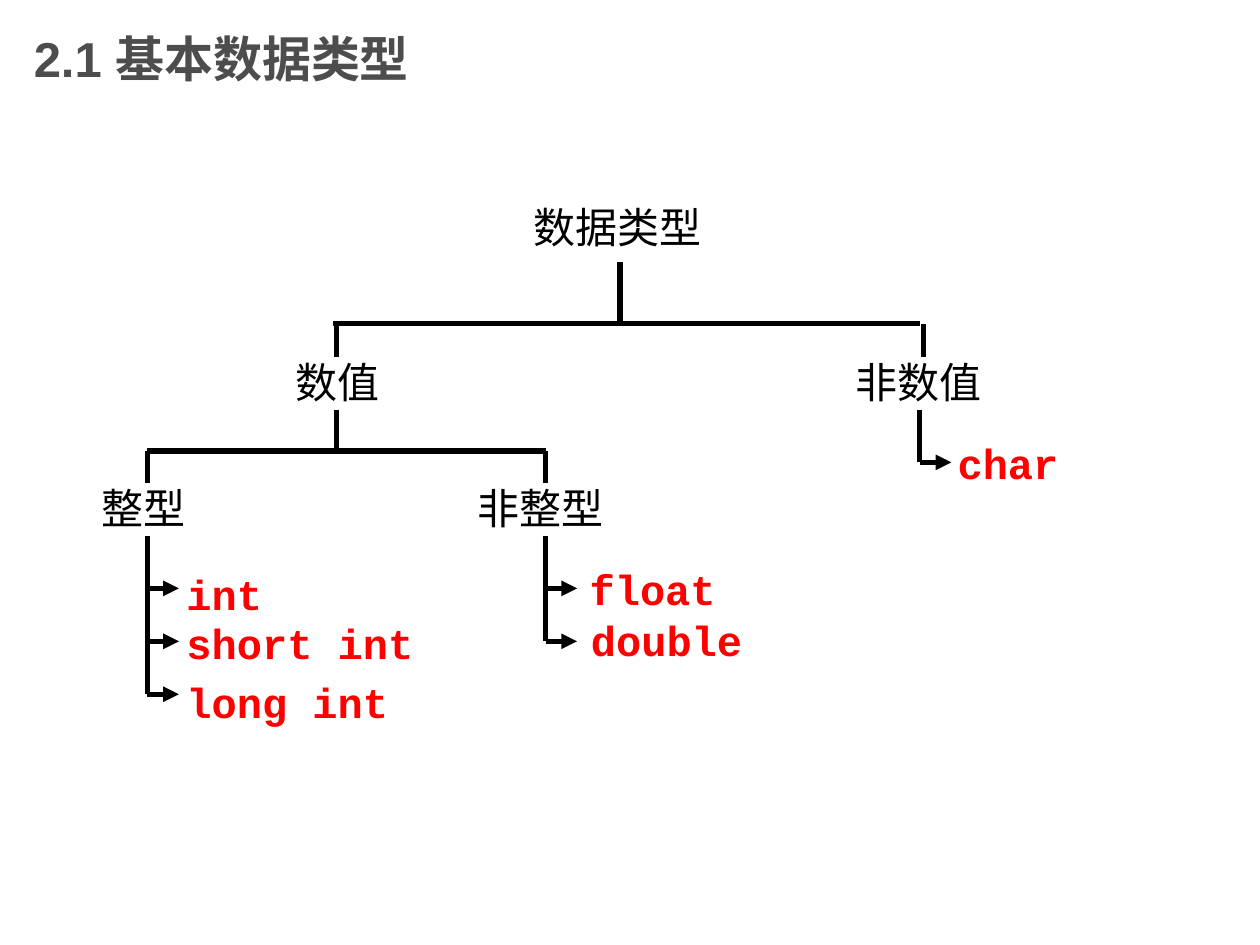
from dataclasses import dataclass
from lxml.etree import SubElement
from pptx import Presentation
from pptx.dml.color import RGBColor
from pptx.enum.shapes import MSO_CONNECTOR
from pptx.enum.text import MSO_ANCHOR, PP_ALIGN
from pptx.oxml.ns import qn
from pptx.util import Inches, Pt


@dataclass(frozen=True)
class Theme:
    ink: RGBColor = RGBColor(0, 0, 0)
    code: RGBColor = RGBColor(255, 0, 0)
    head: RGBColor = RGBColor(0x4D, 0x4D, 0x4D)
    sans: str = "Noto Sans CJK SC"
    mono: str = "Courier New"
    title: str = "Arial"
    big: int = 28
    body: int = 24
    rule: int = 3


@dataclass(frozen=True)
class Box:
    x: float
    y: float
    w: float
    h: float


THEME = Theme()
ROW = 0.5       # height of a label
GLYPH = 0.33    # width of one Chinese character in a node
PAD = 0.24      # side margins of a node, with a little slack
STEP = 0.42     # gap between leaf arrows
ARM = 0.25      # length of a leaf arrow


def add_text(slide, box, text, face, size, color, bold=False,
             align=PP_ALIGN.CENTER, wrap=False):
    shape = slide.shapes.add_textbox(*map(Inches, (box.x, box.y, box.w, box.h)))
    frame = shape.text_frame
    frame.word_wrap = wrap
    frame.vertical_anchor = MSO_ANCHOR.MIDDLE if wrap else MSO_ANCHOR.TOP
    para = frame.paragraphs[0]
    para.alignment = align
    run = para.add_run()
    run.text = text
    font = run.font
    font.name, font.size, font.bold = face, Pt(size), bold
    font.color.rgb = color
    SubElement(font._element, qn("a:ea")).set("typeface", THEME.sans)


def add_line(slide, x1, y1, x2, y2, arrow=False):
    line = slide.shapes.add_connector(
        MSO_CONNECTOR.STRAIGHT, *map(Inches, (x1, y1, x2, y2)))
    line.line.color.rgb = THEME.ink
    line.line.width = Pt(THEME.rule)
    if arrow:
        SubElement(line.line._get_or_add_ln(), qn("a:tailEnd")).set("type", "triangle")
    SubElement(line._element.spPr, qn("a:effectLst"))


def add_title(slide, box, text):
    add_text(slide, box, text, THEME.title, THEME.big, THEME.head,
             bold=True, align=PP_ALIGN.LEFT, wrap=True)


def add_node(slide, mid, y, text):
    """Label centred on x = mid, wide enough for its characters."""
    width = len(text) * GLYPH + PAD
    add_text(slide, Box(mid - width / 2, y, width, ROW), text,
             THEME.sans, THEME.body, THEME.ink)


def add_fork(slide, box, stem, bar, drops):
    """Stem at x = stem down to a bar, then a drop to each child."""
    mid = box.y + bar
    add_line(slide, stem, box.y, stem, mid)
    add_line(slide, box.x, mid, box.x + box.w, mid)
    for x in drops:
        add_line(slide, x, mid, x, box.y + box.h)


def add_leaves(slide, box, leaves):
    """Trunk down the box's left edge; a leaf is name, width, label x and y."""
    add_line(slide, box.x, box.y, box.x, box.y + box.h)
    for i, (name, width, dx, dy) in enumerate(leaves, 1):
        y = box.y + i * STEP
        add_line(slide, box.x, y, box.x + ARM, y, arrow=True)
        place = Box(box.x + dx, box.y + dy, width, ROW)
        add_text(slide, place, name, THEME.mono, THEME.body, THEME.code, bold=True)


def add_tree(slide, box):
    x, y = box.x, box.y
    nodes = [
        ("数据类型", 4.19, 0),
        ("数值", 1.97, 1.23),
        ("非数值", 6.58, 1.23),
        ("整型", 0.43, 2.23),
        ("非整型", 3.58, 2.23),
    ]
    for text, dx, dy in nodes:
        add_node(slide, x + dx, y + dy, text)

    add_fork(slide, Box(x + 1.93, y + 0.53, 4.66, 0.75),
             x + 4.21, 0.49, (x + 1.96, x + 6.62))
    whole, real = x + 0.46, x + 3.62
    add_fork(slide, Box(whole, y + 1.7, real - whole, 0.58),
             x + 1.96, 0.33, (whole, real))

    add_leaves(slide, Box(whole, y + 2.7, ARM, 3 * STEP), [
        ("int", 0.84, 0.19, 0.21),
        ("short int", 2.04, 0.19, 0.6),
        ("long int", 1.84, 0.19, 1.07),
    ])
    add_leaves(slide, Box(real, y + 2.7, ARM, 2 * STEP), [
        ("float", 1.24, 0.23, 0.17),
        ("double", 1.44, 0.24, 0.58),
    ])
    add_leaves(slide, Box(x + 6.59, y + 1.7, ARM, STEP), [
        ("char", 1.04, 0.18, 0.17),
    ])


def main():
    deck = Presentation()
    deck.slide_width, deck.slide_height = Inches(10), Inches(7.5)
    slide = deck.slides.add_slide(deck.slide_layouts[6])
    add_title(slide, Box(0.17, 0, 7.5, 0.92), "2.1 基本数据类型")
    add_tree(slide, Box(0.71, 1.55, 7.79, 4.27))
    deck.save("out.pptx")


if __name__ == "__main__":
    main()
